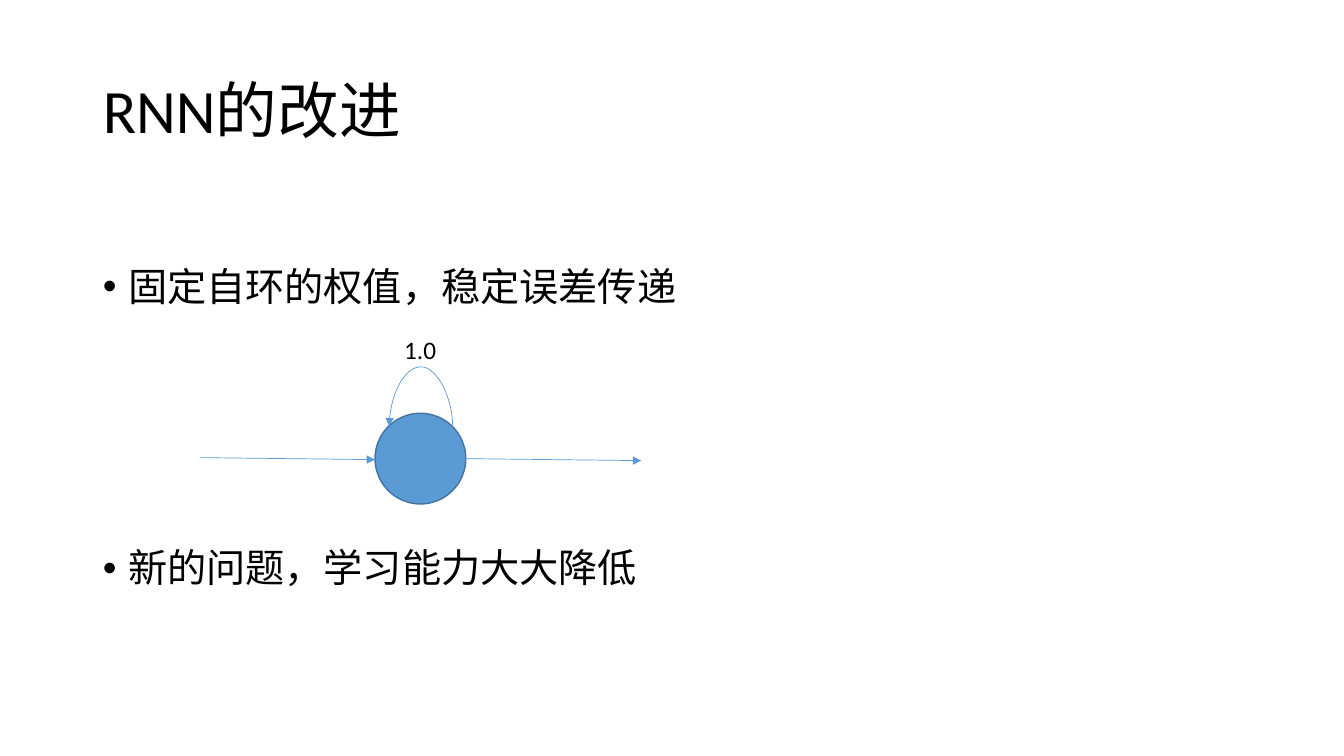
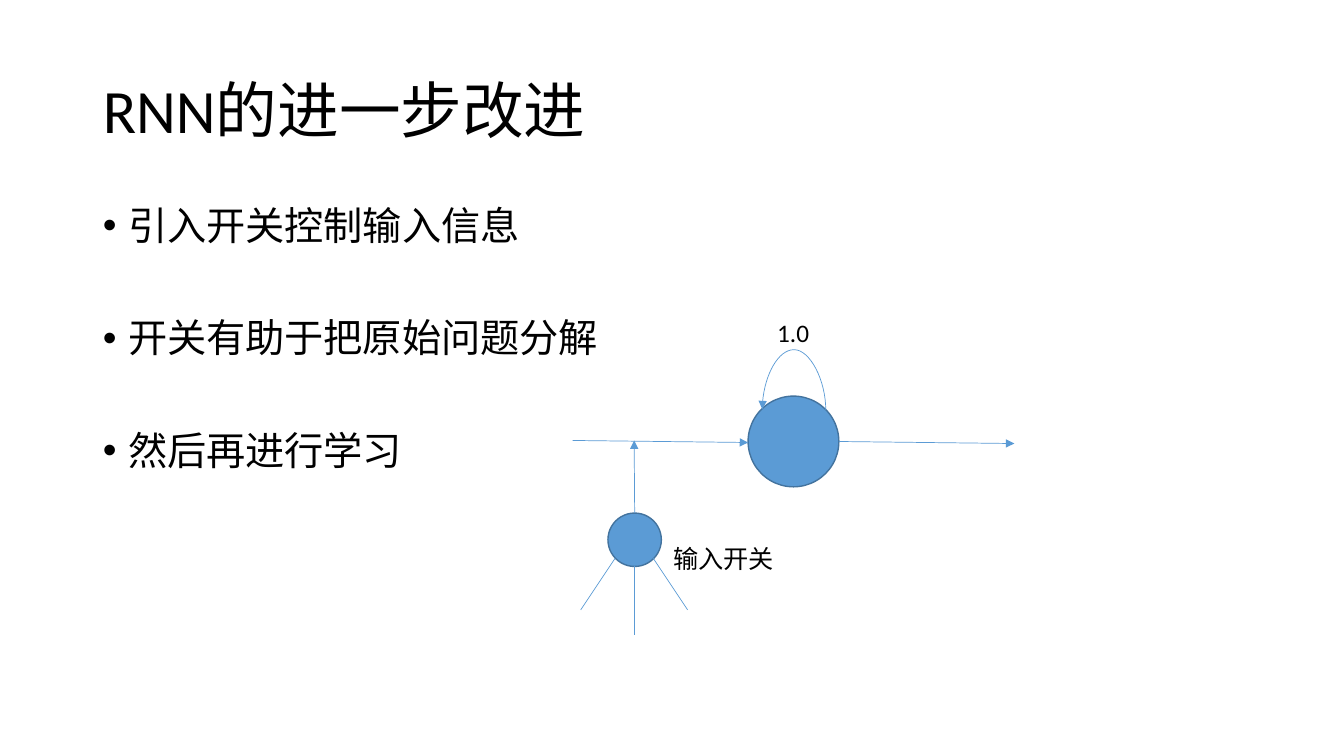
from lxml import etree
from pptx import Presentation
from pptx.dml.color import RGBColor
from pptx.enum.lang import MSO_LANGUAGE_ID
from pptx.enum.shapes import MSO_CONNECTOR, MSO_SHAPE
from pptx.enum.text import MSO_ANCHOR, MSO_AUTO_SIZE, PP_ALIGN
from pptx.oxml.ns import qn
from pptx.util import Pt

PX = 9144  # 100 px to the inch
BLUE = RGBColor(0x5B, 0x9B, 0xD5)
DARK_BLUE = RGBColor(0x43, 0x73, 0x9E)
BLACK = RGBColor(0, 0, 0)
FONT = "Calibri"
CHINESE = MSO_LANGUAGE_ID.SIMPLIFIED_CHINESE
STRAIGHT, CURVE = MSO_CONNECTOR.STRAIGHT, MSO_CONNECTOR.CURVE
OVAL = MSO_SHAPE.OVAL
LEFT, MIDDLE = PP_ALIGN.LEFT, MSO_ANCHOR.MIDDLE
FIT_SHAPE = MSO_AUTO_SIZE.SHAPE_TO_FIT_TEXT

SLIDE_SIZE = (1333, 750)
TITLE_BOX = (92, 40, 1150, 145)
BODY_BOX = (92, 200, 1150, 476)
TITLE_LAYOUT = 1


def px(*lengths):
    return [n * PX for n in lengths]


def place(shape, box):
    shape.left, shape.top, shape.width, shape.height = px(*box)


def add_run(p, text, size):
    r = p.add_run()
    r.text = text
    r.font.size = Pt(size)
    r.font.name = FONT
    r.font.color.rgb = BLACK
    r.font.language_id = CHINESE


def add_text_slide(prs, title, bullets, top_inset, gap):
    """Fill title and body; top_inset is in px, gap between bullets in points."""
    s = prs.slides.add_slide(prs.slide_layouts[TITLE_LAYOUT])
    place(s.shapes.title, TITLE_BOX)
    tf = s.shapes.title.text_frame
    tf.vertical_anchor = MIDDLE
    p = tf.paragraphs[0]
    p.alignment = LEFT
    p.line_spacing = 0.9
    add_run(p, title, 44)

    body = s.placeholders[1]
    place(body, BODY_BOX)
    tf = body.text_frame
    tf.margin_top = top_inset * PX
    for i, text in enumerate(bullets):
        p = tf.add_paragraph() if i else tf.paragraphs[0]
        p.line_spacing = 0.9
        p.space_before = Pt(gap if i else 10)
        pPr = p._p.get_or_add_pPr()
        pPr.set("marL", str(25 * PX))
        pPr.set("indent", str(-25 * PX))
        add_run(p, text, 28)
    return s


def add_label(s, text, box):
    tb = s.shapes.add_textbox(*px(*box))
    tf = tb.text_frame
    tf.word_wrap = False
    tf.auto_size = FIT_SHAPE
    add_run(tf.paragraphs[0], text, 18)


def add_circle(s, x, y, size):
    circle = s.shapes.add_shape(OVAL, *px(x, y, size, size))
    circle.shadow.inherit = False
    circle.fill.solid()
    circle.fill.fore_color.rgb = BLUE
    circle.line.color.rgb = DARK_BLUE
    circle.line.width = Pt(1)
    return circle


def add_line(s, x1, y1, x2, y2, arrow=True, kind=STRAIGHT):
    line = s.shapes.add_connector(kind, *px(x1, y1, x2, y2))
    line.line.color.rgb = BLUE
    line.line.width = Pt(0.5)
    spPr = line._element.spPr
    if arrow:
        etree.SubElement(spPr.find(qn("a:ln")), qn("a:tailEnd"), type="triangle")
    etree.SubElement(spPr, qn("a:effectLst"))
    return line


def add_loop(s, x, y, span, rise):
    """Arc that leaves on the right, rises and comes back on the left.

    It is a 1 px wide curved connector turned by 270 degrees, so its
    adjustment is the rise in multiples of that width.
    """
    spPr = add_line(s, x, y, x + 1, y + span, kind=CURVE)._element.spPr
    xfrm = spPr.find(qn("a:xfrm"))
    xfrm.set("rot", str(270 * 60000))
    xfrm.set("flipV", "1")
    geom = spPr.find(qn("a:prstGeom"))
    guides = geom.find(qn("a:avLst"))
    if guides is None:
        guides = etree.SubElement(geom, qn("a:avLst"))
    etree.SubElement(guides, qn("a:gd"), name="adj1", fmla=f"val {rise * 100000}")


def add_neuron(s, x, y):
    """Neuron with input, output and a self loop of fixed weight."""
    add_circle(s, x, y, 90)
    add_line(s, x + 90, y + 45, x + 264, y + 47)
    add_line(s, x - 174, y + 44, x, y + 46)
    add_loop(s, x + 45, y - 18, 63, 61)
    add_label(s, "1.0", (x + 19, y - 83, 52, 40))


def add_input_switch(s, x, y):
    circle = add_circle(s, x, y, 53)
    middle = x + 26
    add_line(s, middle, y, middle, y - 72).begin_connect(circle, 0)
    for start, end, top, bottom in ((-19, -53, 45, 96), (0, 0, 53, 121), (19, 53, 45, 96)):
        add_line(s, middle + start, y + top, middle + end, y + bottom, arrow=False)
    add_label(s, "输入开关", (x + 55, y + 25, 121, 40))


def main():
    prs = Presentation()
    prs.slide_width, prs.slide_height = px(*SLIDE_SIZE)

    s = add_text_slide(prs, "RNN的改进",
                       ["固定自环的权值，稳定误差传递", "新的问题，学习能力大大降低"],
                       top_inset=65, gap=171)
    add_neuron(s, 372, 410)

    s = add_text_slide(prs, "RNN的进一步改进",
                       ["引入开关控制输入信息", "开关有助于把原始问题分解", "然后再进行学习"],
                       top_inset=5, gap=50)
    add_neuron(s, 742, 393)
    add_input_switch(s, 603, 509)

    prs.save("out.pptx")


if __name__ == "__main__":
    main()
